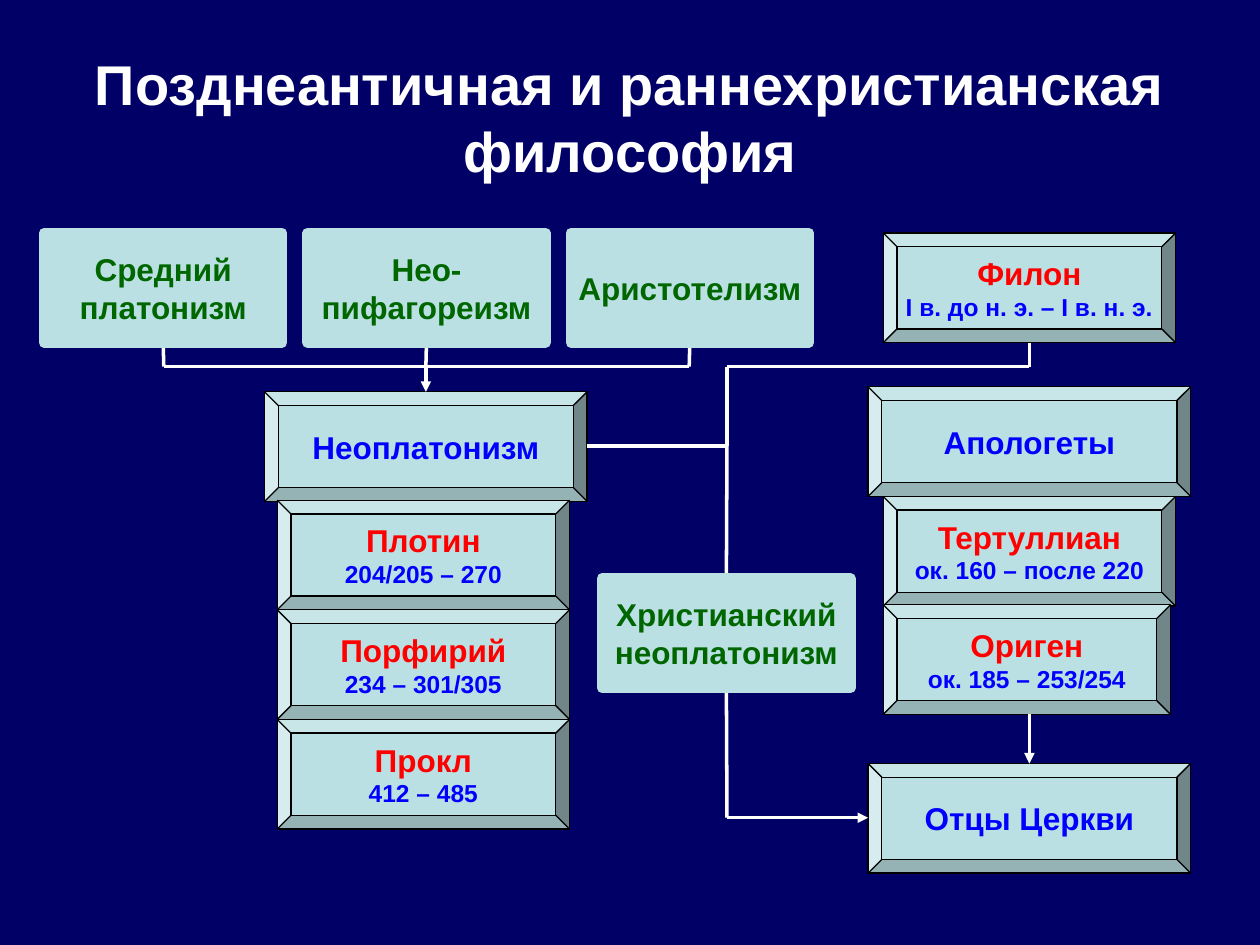
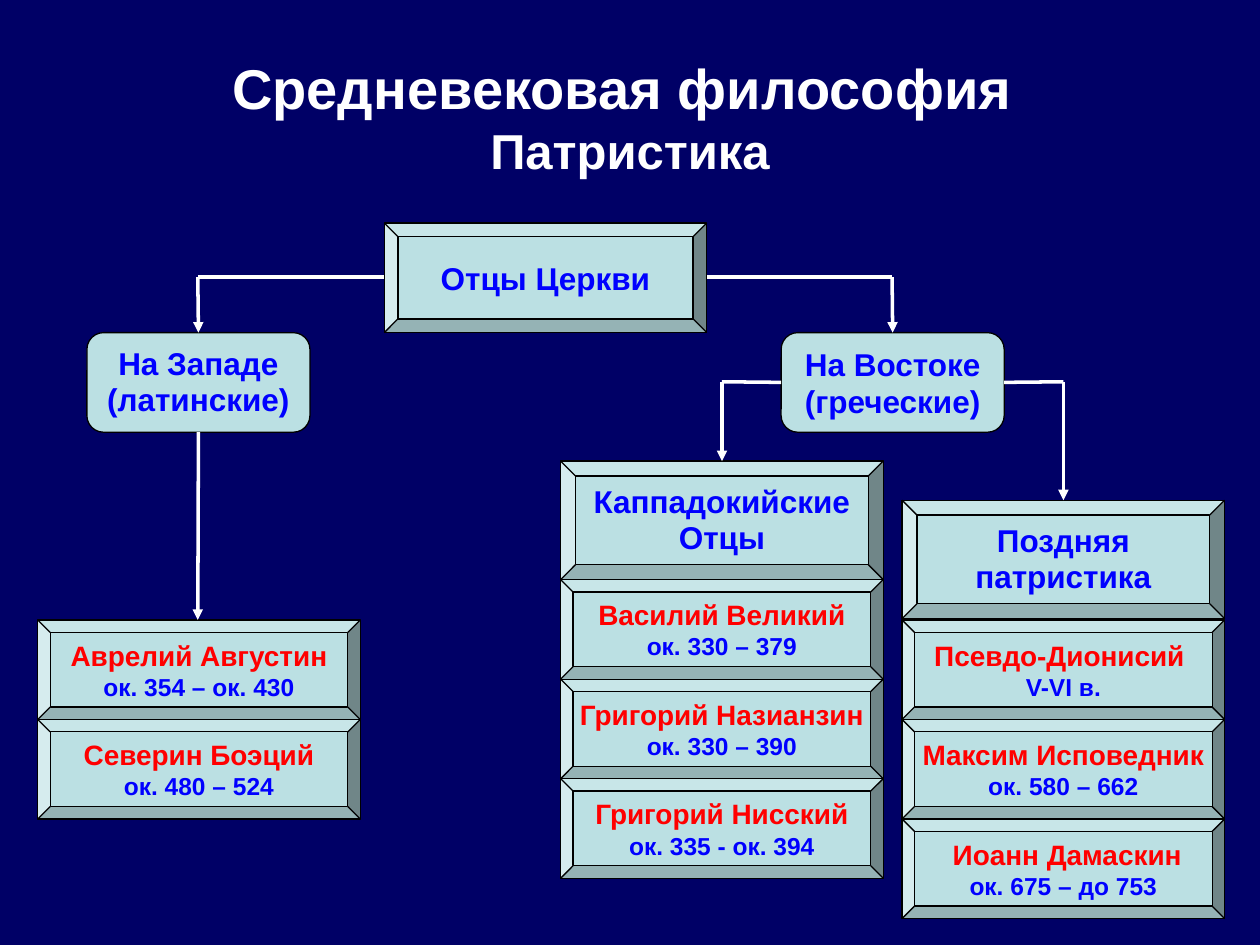
from copy import deepcopy

from lxml import etree
from pptx import Presentation
from pptx.dml.color import RGBColor
from pptx.enum.shapes import MSO_CONNECTOR, MSO_SHAPE
from pptx.enum.text import MSO_ANCHOR, MSO_AUTO_SIZE, PP_ALIGN
from pptx.oxml.ns import qn
from pptx.util import Inches, Pt

RECTANGLE, ROUNDED, BEVEL = MSO_SHAPE.RECTANGLE, MSO_SHAPE.ROUNDED_RECTANGLE, MSO_SHAPE.BEVEL
STRAIGHT = MSO_CONNECTOR.STRAIGHT
CENTER, MIDDLE = PP_ALIGN.CENTER, MSO_ANCHOR.MIDDLE
TOP, LEFT, BOTTOM, RIGHT = range(4)

FONT = "Arial"
color = RGBColor.from_string
NAVY, WHITE, BLACK, PALE = "000066", "FFFFFF", "000000", "BBE0E3"
GREEN, BLUE, RED = "006600", "0000FF", "FF0000"

# Box kind: preset, line colour, line width, text colour of the first and of later lines
KINDS = {
    "school": (RECTANGLE, PALE, 6, GREEN, GREEN),
    "heading": (BEVEL, BLACK, 0.75, BLUE, BLUE),
    "branch": (ROUNDED, BLACK, 0.75, BLUE, BLUE),
    "person": (BEVEL, BLACK, 0.75, RED, BLUE),
}


def write_lines(shape, lines, spacing=None):
    """Write (text, size, colour) lines as one centred paragraph with line breaks."""
    frame = shape.text_frame
    frame.vertical_anchor = MIDDLE
    paragraph = frame.paragraphs[0]
    paragraph.alignment = CENTER
    if spacing:
        paragraph.line_spacing = spacing
    for number, (text, size, text_color) in enumerate(lines):
        if number:
            paragraph.add_line_break()
            paragraph._p[-1].append(deepcopy(run._r.rPr))
        run = paragraph.add_run()
        run.text = text
        run.font.name = FONT
        run.font.size = Pt(size)
        run.font.bold = True
        run.font.color.rgb = color(text_color)


def stack(left, top, width, height, size, people):
    """Return person boxes placed directly under each other."""
    return [("person", lines, left, top + row * height, width, height, (size, 14), None)
            for row, lines in enumerate(people)]


# Late antiquity: boxes are (kind, lines, left, top, width, height, sizes, line spacing)
BIG = (18, 18)
schools = [["Средний", "платонизм"], ["Нео-", "пифагореизм"], ["Аристотелизм"]]
late_boxes = [("school", lines, 0.35 + 2.09 * column, 1.85, 1.89, 0.87, BIG, None)
              for column, lines in enumerate(schools)]
late_boxes += [
    ("school", ["Христианский", "неоплатонизм"], 4.78, 4.59, 1.97, 0.87, BIG, None),
    ("heading", ["Неоплатонизм"], 2.1, 3.11, 2.56, 0.87, BIG, None),
    ("heading", ["Апологеты"], 6.89, 3.07, 2.56, 0.87, BIG, None),
    ("heading", ["Отцы Церкви"], 6.89, 6.06, 2.56, 0.87, BIG, None),
]
late_boxes += stack(2.2, 3.97, 2.32, 0.87, 18, [
    ["Плотин", "204/205 – 270"], ["Порфирий", "234 – 301/305"], ["Прокл", "412 – 485"]])
late_boxes += stack(7.01, 1.85, 2.32, 0.87, 18, [["Филон", "I в. до н. э. – I в. н. э."]])
late_boxes += stack(7.01, 3.94, 2.32, 0.87, 18, [["Тертуллиан", "ок. 160 – после 220"]])
late_boxes += stack(7.01, 4.8, 2.28, 0.87, 18, [["Ориген", "ок. 185 – 253/254"]])

# Lines are (start, end, arrow); an end is a point or a box name with its side
school_x = [1.3, 3.38, 5.47]
bus_y, trunk_x, philo_x = 2.91, 5.77, 8.17
late_lines = [((lines[0], BOTTOM), (x, bus_y), False) for lines, x in zip(schools, school_x)]
late_lines += [((start, bus_y), (end, bus_y), False)
               for start, end in zip(school_x, school_x[1:])]
late_lines += [
    ((3.38, bus_y), (3.38, 3.11), True),
    ((philo_x, 5.67), (philo_x, 6.06), True),
    ((4.66, 3.54), (trunk_x, 3.54), False),
    ((trunk_x, 3.54), ("Христианский", TOP), False),
    (("Христианский", BOTTOM), (trunk_x, 6.49), False),
    ((trunk_x, 6.49), (6.89, 6.49), True),
    ((trunk_x, bus_y), (philo_x, bus_y), False),
    ((philo_x, 2.72), (philo_x, bus_y), False),
    ((trunk_x, bus_y), (trunk_x, 3.54), False),
]

# Patristics
patristic_boxes = [
    ("heading", ["Отцы Церкви"], 3.05, 1.77, 2.56, 0.87, BIG, None),
    ("branch", ["На Западе", "(латинские)"], 0.69, 2.64, 1.77, 0.79, BIG, 0.95),
    ("branch", ["На Востоке", "(греческие)"], 6.2, 2.64, 1.77, 0.79, BIG, None),
    ("heading", ["Каппадокийские", "Отцы"], 4.45, 3.66, 2.56, 0.94, BIG, 0.95),
    ("heading", ["Поздняя", "патристика"], 7.16, 3.97, 2.56, 0.94, BIG, 0.95),
]
patristic_boxes += stack(0.3, 4.92, 2.56, 0.79, 16, [
    ["Аврелий Августин", "ок. 354 – ок. 430"], ["Северин Боэций", "ок. 480 – 524"]])
patristic_boxes += stack(4.45, 4.6, 2.56, 0.79, 16, [
    ["Василий Великий", "ок. 330 – 379"], ["Григорий Назианзин", "ок. 330 – 390"],
    ["Григорий Нисский", "ок. 335 - ок. 394"]])
patristic_boxes += stack(7.16, 4.92, 2.56, 0.79, 16, [
    ["Псевдо-Дионисий ", "V-VI в."], ["Максим Исповедник", "ок. 580 – 662"],
    [" Иоанн Дамаскин", "ок. 675 – до 753"]])
patristic_lines = [
    ((1.57, 2.2), (3.05, 2.2), False),
    ((5.61, 2.2), (7.08, 2.2), False),
    ((1.57, 2.2), ("На Западе", TOP), True),
    ((7.08, 2.2), ("На Востоке", TOP), True),
    (("На Западе", BOTTOM), (1.57, 4.92), True),
    ((5.73, 3.03), ("На Востоке", LEFT), False),
    (("На Востоке", RIGHT), (8.44, 3.03), False),
    ((5.73, 3.03), (5.73, 3.66), True),
    ((8.44, 3.03), (8.44, 3.97), True),
]

slides = [
    ([("Позднеантичная и раннехристианская философия", 32, WHITE)], late_boxes, late_lines),
    ([("Средневековая философия ", 32, WHITE), ("Патристика", 28, WHITE)],
     patristic_boxes, patristic_lines),
]

presentation = Presentation()
presentation.slide_width, presentation.slide_height = Inches(10), Inches(7.5)
background = presentation.slide_master.background.fill
background.solid()
background.fore_color.rgb = color(NAVY)
title_only = presentation.slide_layouts[5]

for title_lines, boxes, lines in slides:
    slide = presentation.slides.add_slide(title_only)
    title = slide.shapes.title
    title.left, title.top = Inches(0.5), Inches(0.3)
    title.width, title.height = Inches(9), Inches(1.25)
    title.text_frame.auto_size = MSO_AUTO_SIZE.NONE
    write_lines(title, title_lines)

    named_boxes, school_boxes = {}, []
    for kind, texts, left, top, width, height, sizes, spacing in boxes:
        preset, line_color, line_width, first_color, later_color = KINDS[kind]
        box = slide.shapes.add_shape(
            preset, Inches(left), Inches(top), Inches(width), Inches(height))
        box.shadow.inherit = False
        box.fill.solid()
        box.fill.fore_color.rgb = color(PALE)
        box.line.color.rgb = color(line_color)
        box.line.width = Pt(line_width)
        box.text_frame.word_wrap = False
        write_lines(box, zip(texts, sizes, (first_color, later_color)), spacing)
        named_boxes[texts[0]] = box
        if kind == "school":
            school_boxes.append(box)

    for start, end, arrow in lines:
        start_joined, end_joined = isinstance(start[0], str), isinstance(end[0], str)
        start_point = (0, 0) if start_joined else start
        end_point = (0, 0) if end_joined else end
        connector = slide.shapes.add_connector(
            STRAIGHT, *[Inches(value) for value in (*start_point, *end_point)])
        if start_joined:
            connector.begin_connect(named_boxes[start[0]], start[1])
        if end_joined:
            connector.end_connect(named_boxes[end[0]], end[1])
        connector.line.color.rgb = color(WHITE)
        connector.line.width = Pt(2)
        if arrow:
            etree.SubElement(connector.line._get_or_add_ln(), qn("a:tailEnd"), type="triangle")
        etree.SubElement(connector._element.spPr, qn("a:effectLst"))

    # The thick borders of the school boxes cover the line ends
    for box in school_boxes:
        slide.shapes._spTree.append(box._element)

presentation.save("out.pptx")
